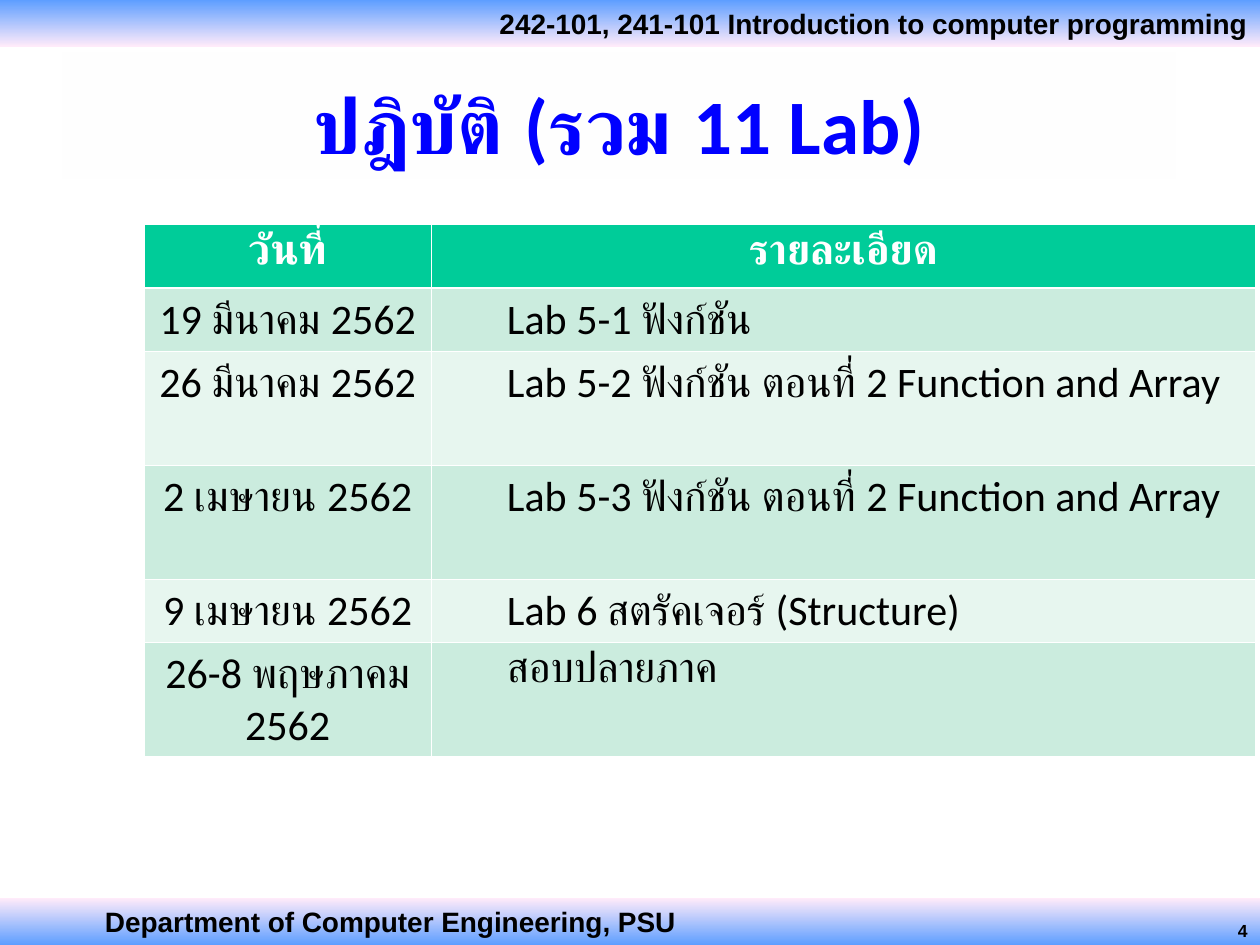
from dataclasses import dataclass
from pptx import Presentation
from pptx.dml import color
from pptx.enum import shapes, text
from pptx.oxml import parse_xml
from pptx.oxml import ns
from pptx.util import Pt


@dataclass(frozen=True)
class Theme:
    sky: str = "5E9EFF"
    blush: str = "FFEBFA"
    paper: str = "FEFEFE"
    white: str = "FFFFFF"
    ink: str = "000000"
    blue: str = "0000FF"
    green: str = "00CC99"
    mint: str = "CBECDE"
    pale: str = "E7F6EF"
    band_font: str = "Arial"
    body_font: str = "Calibri"
    title_size: int = 44
    table_size: int = 24
    band_size: int = 16
    number_size: int = 10
    thin: float = 0.45
    thick: float = 1.47


THEME = Theme()
ALIGN = text.PP_ALIGN
SCHEDULE = [
    ("วันที่", "รายละเอียด"),
    ("19 มีนาคม 2562", "Lab 5-1 ฟังก์ชัน"),
    ("26 มีนาคม 2562", "Lab 5-2 ฟังก์ชัน ตอนที่ 2 Function and Array"),
    ("2 เมษายน 2562", "Lab 5-3 ฟังก์ชัน ตอนที่ 2 Function and Array"),
    ("9 เมษายน 2562", "Lab 6 สตรัคเจอร์ (Structure)"),
    ("26-8 พฤษภาคม 2562", "สอบปลายภาค"),
]
SHORT_ROW, TALL_ROW = 36.2, 65.2
ROW_HEIGHTS = [SHORT_ROW, SHORT_ROW, TALL_ROW, TALL_ROW, SHORT_ROW, TALL_ROW]
COLUMN_WIDTHS = [164.3, 470.7]


def rgb(code):
    return color.RGBColor.from_string(code)


def write(frame, words, size, font, ink, align, bold=True):
    frame.word_wrap = True
    paragraph = frame.paragraphs[0]
    paragraph.alignment = align
    run = paragraph.add_run()
    run.text = words
    run.font.size = Pt(size)
    run.font.name = font
    run.font.bold = bold
    run.font.color.rgb = rgb(ink)
    return paragraph


def add_panel(slide, left, top, width, height):
    panel = slide.shapes.add_shape(
        shapes.MSO_SHAPE.RECTANGLE, Pt(left), Pt(top), Pt(width), Pt(height))
    panel.shadow.inherit = False
    panel.line.fill.background()
    return panel


def add_band(slide, top, stops, words, align, inset):
    band = add_panel(slide, 0, top, 720, 26.64)
    band.fill.gradient()
    band.fill.gradient_angle = 270
    for stop, code in zip(band.fill.gradient_stops, stops):
        stop.color.rgb = rgb(code)
    frame = band.text_frame
    frame.vertical_anchor = text.MSO_ANCHOR.TOP
    frame.margin_left = Pt(inset)
    write(frame, words, THEME.band_size, THEME.band_font, THEME.ink, align)


def add_title(slide, words):
    title = add_panel(slide, 36, 30.24, 635.76, 72)
    title.fill.solid()
    title.fill.fore_color.rgb = rgb(THEME.paper)
    title.text_frame.vertical_anchor = text.MSO_ANCHOR.MIDDLE
    paragraph = write(title.text_frame, words, THEME.title_size,
                      THEME.body_font, THEME.blue, ALIGN.CENTER)
    paragraph.line_spacing = 1.16


def add_page_number(slide, number):
    box = slide.shapes.add_textbox(Pt(570.24), Pt(522), Pt(149.76), Pt(19.44))
    write(box.text_frame, number, THEME.number_size, THEME.band_font,
          THEME.ink, ALIGN.RIGHT)


def set_borders(cell, row):
    weights = {
        "lnL": THEME.thin,
        "lnR": THEME.thin,
        "lnT": THEME.thick if row == 1 else THEME.thin,
        "lnB": THEME.thick if row == 0 else THEME.thin,
    }
    properties = cell._tc.get_or_add_tcPr()
    for position, (side, weight) in enumerate(weights.items()):
        properties.insert(position, parse_xml(
            f'<a:{side} {ns.nsdecls("a")} w="{Pt(weight)}"><a:solidFill>'
            f'<a:srgbClr val="{THEME.white}"/></a:solidFill></a:{side}>'))


def fill_cell(cell, row, column, words):
    heading = row == 0
    cell.fill.solid()
    cell.fill.fore_color.rgb = rgb(
        THEME.green if heading else THEME.mint if row % 2 else THEME.pale)
    detail = column == 1 and not heading
    paragraph = write(cell.text_frame, words, THEME.table_size, THEME.body_font,
                      THEME.white if heading else THEME.ink,
                      ALIGN.LEFT if detail else ALIGN.CENTER, heading)
    if detail:
        paragraph.level = 1
        indents = paragraph._p.get_or_add_pPr()
        indents.set("marL", str(Pt(36)))
        indents.set("indent", "0")
    set_borders(cell, row)


def add_schedule(slide):
    table = slide.shapes.add_table(
        len(SCHEDULE), len(COLUMN_WIDTHS), Pt(82.2), Pt(128.3),
        Pt(sum(COLUMN_WIDTHS)), Pt(sum(ROW_HEIGHTS))).table
    for column, width in zip(table.columns, COLUMN_WIDTHS):
        column.width = Pt(width)
    for row, height in zip(table.rows, ROW_HEIGHTS):
        row.height = Pt(height)
    for row, entry in enumerate(SCHEDULE):
        for column, words in enumerate(entry):
            fill_cell(table.cell(row, column), row, column, words)


def main():
    deck = Presentation()
    deck.slide_width, deck.slide_height = Pt(720), Pt(540)
    slide = deck.slides.add_slide(deck.slide_layouts[6])
    add_band(slide, 0, (THEME.sky, THEME.blush),
             "242-101, 241-101 Introduction to computer programming",
             ALIGN.RIGHT, 7.2)
    add_band(slide, 513.36, (THEME.blush, THEME.sky),
             "Department of Computer Engineering, PSU", ALIGN.LEFT, 60)
    add_title(slide, "ปฎิบัติ (รวม 11 Lab)")
    add_page_number(slide, "4")
    add_schedule(slide)
    deck.save("out.pptx")


main()
